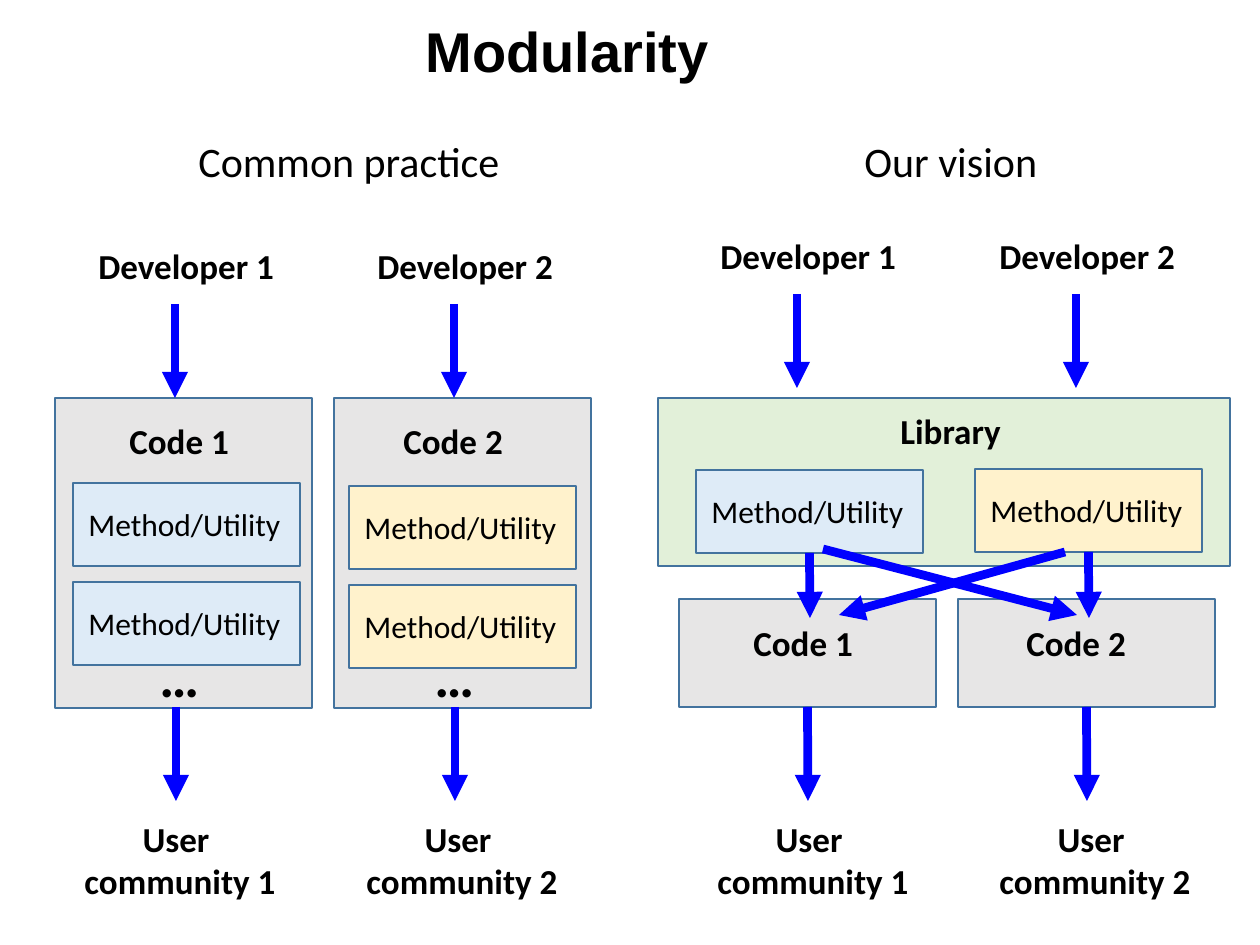
from lxml import etree
from pptx import Presentation
from pptx.dml.color import RGBColor
from pptx.enum.shapes import MSO_CONNECTOR as Link, MSO_SHAPE as Shape
from pptx.enum.text import MSO_ANCHOR as Anchor, MSO_AUTO_SIZE as Fit, PP_ALIGN as Align
from pptx.oxml.ns import qn
from pptx.util import Pt

PX = 914400 / 126
BLACK, ARROW, EDGE = "000000", "0000FF", "43739E"
GRAY, GREEN, BLUE, YELLOW = "E7E6E6", "E2F0D9", "DEEBF7", "FFF2CC"
STEP = 279  # from the first column of a half to its second


def px(*nums):
    return [round(n * PX) for n in nums]


def color(text):
    return RGBColor.from_string(text)


def style(shape, text, size, bold, font="Calibri", align=Align.LEFT):
    """Fill a shape with unwrapped text, one paragraph per line."""
    frame = shape.text_frame
    frame.text = text
    frame.word_wrap = False
    frame.auto_size = Fit.SHAPE_TO_FIT_TEXT
    frame.vertical_anchor = Anchor.TOP
    for para in frame.paragraphs:
        para.alignment = align
        for run in para.runs:
            run.font.name = font
            run.font.size = Pt(size)
            run.font.bold = bold
            run.font.color.rgb = color(BLACK)


def label(shapes, text, at, size=20, bold=True, align=Align.LEFT):
    style(shapes.add_textbox(*px(*at)), text, size, bold, align=align)


def box(shapes, at, fill):
    rect = shapes.add_shape(Shape.RECTANGLE, *px(*at))
    rect.shadow.inherit = False
    rect.fill.solid()
    rect.fill.fore_color.rgb = color(fill)
    rect.line.color.rgb = color(EDGE)
    rect.line.width = Pt(1)
    return rect


def arrow(shapes, start, end):
    line = shapes.add_connector(Link.STRAIGHT, *px(*start, *end))
    line.line.color.rgb = color(ARROW)
    line.line.width = Pt(5)
    tip = etree.SubElement(line.line._get_or_add_ln(), qn("a:tailEnd"))
    tip.set("type", "triangle")
    etree.SubElement(line._element.spPr, qn("a:effectLst"))
    return line


def method(shapes, x, y, fill):
    """Group a method box with its caption."""
    group = shapes.add_group_shape().shapes
    rect = box(group, (x, y, 227, 83), fill)
    label(group, "Method/Utility", (x + 3, y + 16, 219, 50), 18, False)
    return rect


def maker(shapes, num, x, y):
    """Place a developer and the arrow down from it."""
    label(shapes, f"Developer {num}", (x, y, 203, 55))
    arrow(shapes, (x + 89, y + 66), (x + 89, y + 160))


def users(shapes, num, x):
    label(shapes, f"User \ncommunity {num}", (x, 811, 218, 97), align=Align.CENTER)


def practice(shapes):
    """Each code holds its own methods."""
    label(shapes, "Common practice", (186, 129, 329, 63), 24, False)
    for i, (fill, x, tops) in enumerate(((BLUE, 73, (483, 582)),
                                         (YELLOW, 349, (486, 585)))):
        num, left = i + 1, i * STEP
        box(shapes, (55 + left, 398, 257, 310), GRAY)
        maker(shapes, num, 86 + left, 238)
        for top in tops:
            method(shapes, x, top, fill)
        label(shapes, "…", (147 + i * 275, 635, 66, 81), 32)
        label(shapes, f"Code {num}", (117 + i * 274, 413, 126, 55))
        arrow(shapes, (176 + left, 707), (176 + left, 801))
        users(shapes, num, 71 + i * 282)


def vision(shapes):
    """All codes share the methods of one library."""
    label(shapes, "Our vision", (852, 129, 200, 63), 24, False)
    box(shapes, (658, 398, 572, 168), GREEN)
    label(shapes, "Library", (888, 403, 127, 55))
    tools = []
    for i, fill in enumerate((BLUE, YELLOW)):
        num, left = i + 1, i * STEP
        maker(shapes, num, 708 + left, 228)
        tools.append(method(shapes, 696 + left, 470 - i, fill))
        code = box(shapes, (679 + left, 599, 257, 108), GRAY)
        label(shapes, f"Code {num}", (741 + i * 273, 615, 126, 55))
        down = arrow(shapes, (808 + left, 707), (808 + left, 801))
        down.begin_connect(code, 2)
        users(shapes, num, 704 + i * 282)
    for i, tool in enumerate(tools):
        x = 810 + i * STEP
        arrow(shapes, (x, 553), (x, 618)).begin_connect(tool, 2)
    arrow(shapes, (823, 549), (1077, 615))
    arrow(shapes, (1065, 552), (839, 615))


def main():
    deck = Presentation()
    deck.slide_width, deck.slide_height = px(1260, 945)
    shapes = deck.slides.add_slide(deck.slide_layouts[5]).shapes
    title = shapes.title
    title.left, title.top, title.width, title.height = px(412, 10, 311, 81)
    style(title, "Modularity", 32, True, "Arial", Align.CENTER)
    practice(shapes)
    vision(shapes)
    deck.save("out.pptx")


if __name__ == "__main__":
    main()
